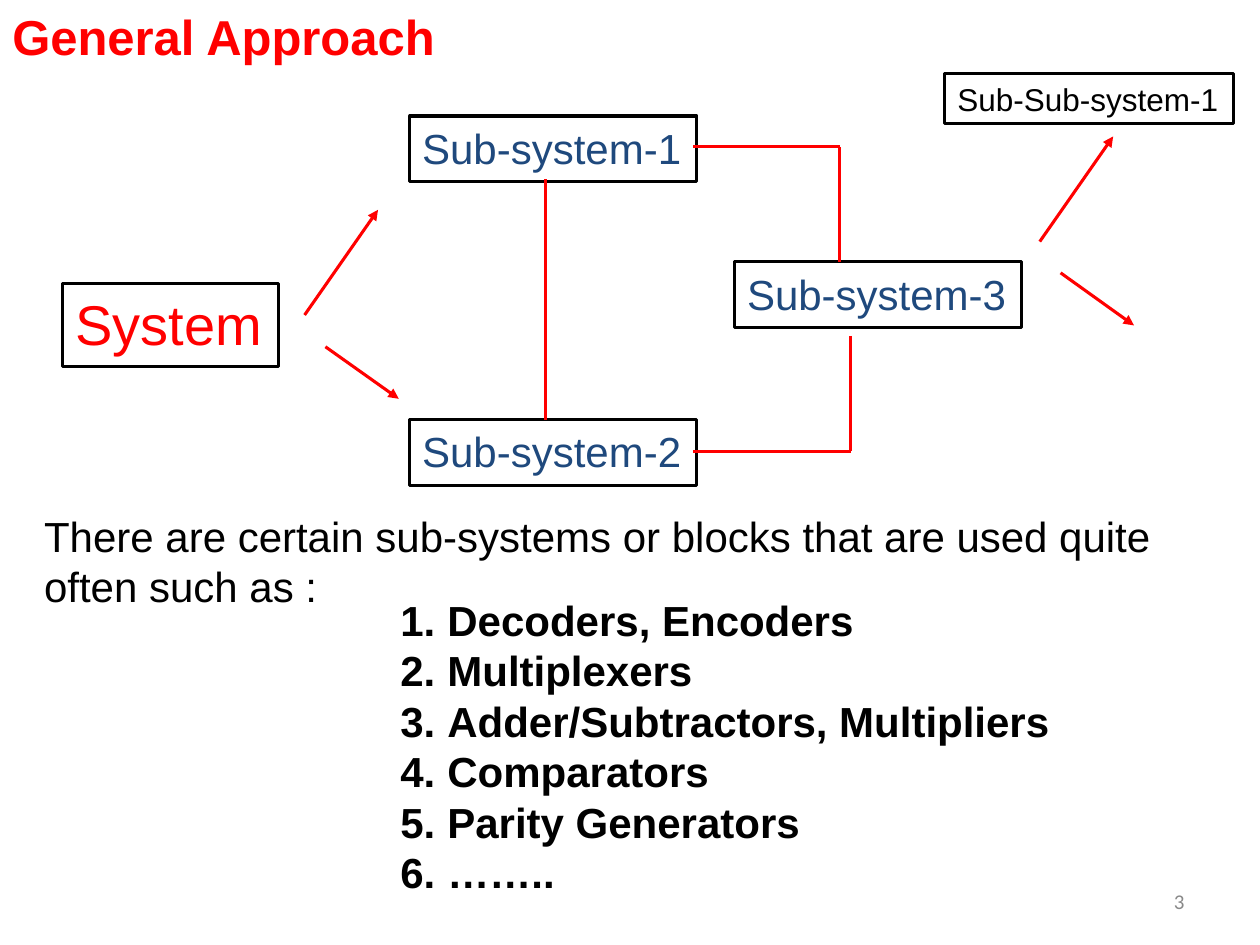
from typing import NamedTuple

from lxml import etree
from pptx import Presentation
from pptx.dml.color import RGBColor
from pptx.enum.shapes import MSO_CONNECTOR, MSO_SHAPE
from pptx.enum.text import MSO_ANCHOR, MSO_AUTO_SIZE, PP_ALIGN
from pptx.oxml.ns import qn
from pptx.util import Cm, Pt

STRAIGHT = MSO_CONNECTOR.STRAIGHT
RECTANGLE = MSO_SHAPE.RECTANGLE
MIDDLE = MSO_ANCHOR.MIDDLE
GROW = MSO_AUTO_SIZE.SHAPE_TO_FIT_TEXT
LEFT, RIGHT = PP_ALIGN.LEFT, PP_ALIGN.RIGHT

RED, NAVY, BLACK, GREY = "FF0000", "1F497D", "000000", "898989"
LINE_WIDTH = Pt(1.75)
LIST_INDENT = Cm(0.95)


class Style(NamedTuple):
    size: float
    color: str
    bold: bool = False
    font: str = "Arial"


class Area(NamedTuple):
    """Left, top, width and height in centimetres."""
    left: float
    top: float
    width: float
    height: float


class Box(NamedTuple):
    text: str
    area: Area
    style: Style


class Link(NamedTuple):
    """A red line through points given in centimetres."""
    points: list[tuple[float, float]]
    arrow: bool = False


TITLE = Style(28, RED, bold=True)
BODY = Style(24, BLACK)
LIST = Style(24, BLACK, bold=True)
SUBSYSTEM = Style(24, NAVY)
PAGE_NUMBER = Style(12, GREY, font="Calibri")

BOXES = [
    Box("System", Area(1.27, 5.71, 4.34, 1.68), Style(32, RED)),
    Box("Sub-system-1", Area(8.26, 2.34, 5.79, 1.32), SUBSYSTEM),
    Box("Sub-system-3", Area(14.81, 5.28, 5.79, 1.32), SUBSYSTEM),
    Box("Sub-system-2", Area(8.26, 8.46, 5.79, 1.32), SUBSYSTEM),
    Box("Sub-Sub-system-1", Area(19.05, 1.48, 5.82, 1.02), Style(18, BLACK)),
]
LINKS = [
    Link([(13.97, 2.96), (16.93, 2.96), (16.93, 5.29)]),
    Link([(17.15, 6.77), (17.15, 9.1), (13.97, 9.1)]),
    Link([(11, 8.47), (11, 3.6)]),
    Link([(6.14, 6.35), (7.62, 4.23)], arrow=True),
    Link([(6.56, 6.99), (8.04, 8.04)], arrow=True),
    Link([(20.96, 4.87), (22.44, 2.75)], arrow=True),
    Link([(21.38, 5.5), (22.86, 6.56)], arrow=True),
]
BLOCKS = [
    "Decoders, Encoders",
    "Multiplexers",
    "Adder/Subtractors, Multipliers",
    "Comparators",
    "Parity Generators",
    "……..",
]


def rgb(value: str) -> RGBColor:
    return RGBColor.from_string(value)


def write(sp, lines: list[str], style: Style, wrap: bool = False,
          align=LEFT) -> None:
    tf = sp.text_frame
    tf.word_wrap = wrap
    tf.auto_size = GROW
    tf.text = "\n".join(lines)
    for p in tf.paragraphs:
        p.alignment = align
        p.font.size = Pt(style.size)
        p.font.bold = style.bold
        p.font.name = style.font
        p.font.color.rgb = rgb(style.color)


def add_text(s, area: Area, lines: list[str], style: Style,
             wrap: bool = False, align=LEFT):
    sp = s.shapes.add_textbox(*map(Cm, area))
    write(sp, lines, style, wrap, align)
    return sp


def add_box(s, box: Box) -> None:
    sp = s.shapes.add_shape(RECTANGLE, *map(Cm, box.area))
    sp.shadow.inherit = False
    sp.fill.background()
    sp.line.color.rgb = rgb(BLACK)
    sp.line.width = LINE_WIDTH
    write(sp, [box.text], box.style)
    sp.text_frame.vertical_anchor = MSO_ANCHOR.TOP


def add_link(s, link: Link) -> None:
    for start, end in zip(link.points, link.points[1:]):
        line = s.shapes.add_connector(STRAIGHT, *map(Cm, start + end))
        line.line.color.rgb = rgb(RED)
        line.line.width = LINE_WIDTH
        if link.arrow:
            etree.SubElement(line.line._get_or_add_ln(), qn("a:tailEnd"),
                             type="triangle")
        etree.SubElement(line._element.spPr, qn("a:effectLst"))


def number_paragraphs(sp) -> None:
    for p in sp.text_frame.paragraphs:
        props = p._p.get_or_add_pPr()
        props.set("marL", str(LIST_INDENT))
        props.set("indent", str(-LIST_INDENT))
        number = etree.Element(qn("a:buAutoNum"), type="arabicPeriod")
        props.insert(0, number)


def main() -> None:
    prs = Presentation()
    prs.slide_width, prs.slide_height = Cm(25.4), Cm(19.05)
    s = prs.slides.add_slide(prs.slide_layouts[6])

    add_text(s, Area(0, 0, 9.14, 1.45), ["General Approach"], TITLE)
    for box in BOXES:
        add_box(s, box)
    for link in LINKS:
        add_link(s, link)

    add_text(s, Area(0.64, 10.16, 23.93, 2.31),
             ["There are certain sub-systems or blocks that are used quite "
              "often such as :"], BODY, wrap=True)
    blocks = add_text(s, Area(7.82, 11.86, 13.72, 6.4), BLOCKS, LIST)
    number_paragraphs(blocks)

    page = add_text(s, Area(18.2, 17.66, 5.93, 1.01), ["3"], PAGE_NUMBER,
                    wrap=True, align=RIGHT)
    page.text_frame.auto_size = MSO_AUTO_SIZE.NONE
    page.text_frame.vertical_anchor = MIDDLE

    prs.save("out.pptx")


if __name__ == "__main__":
    main()
